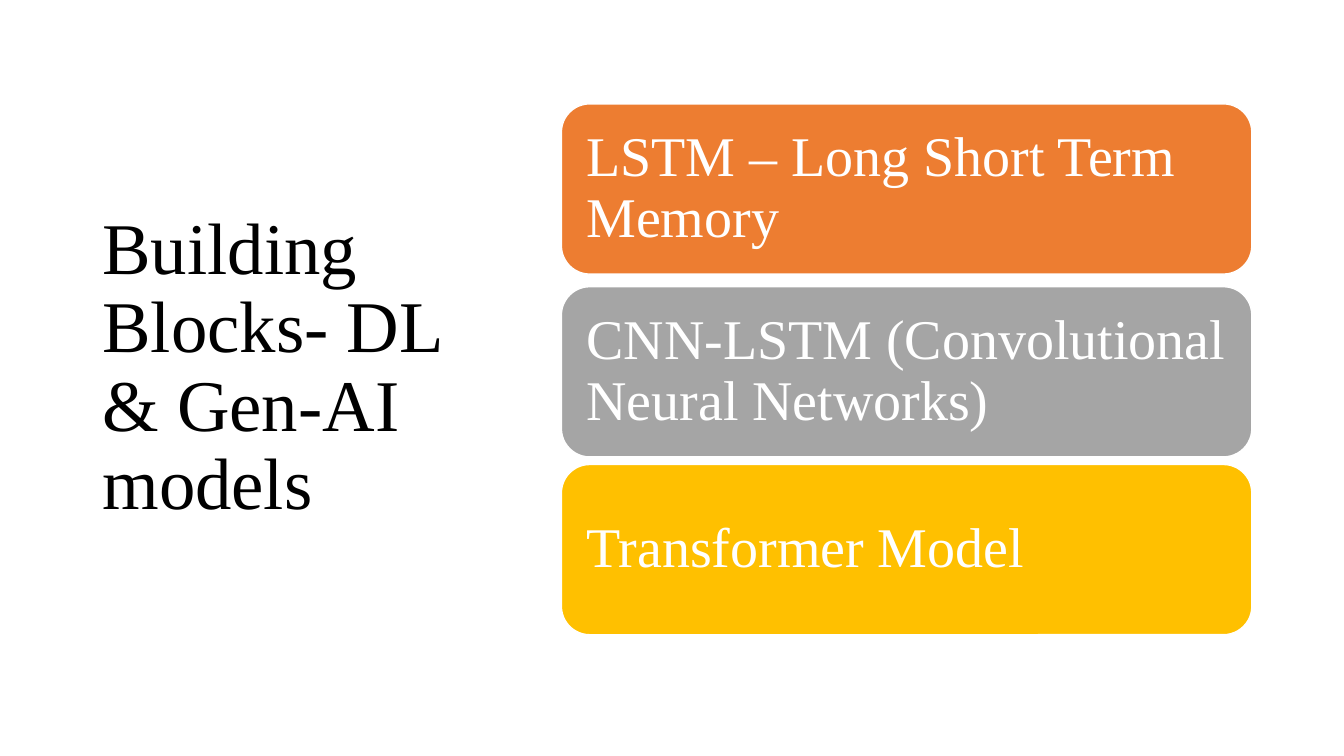
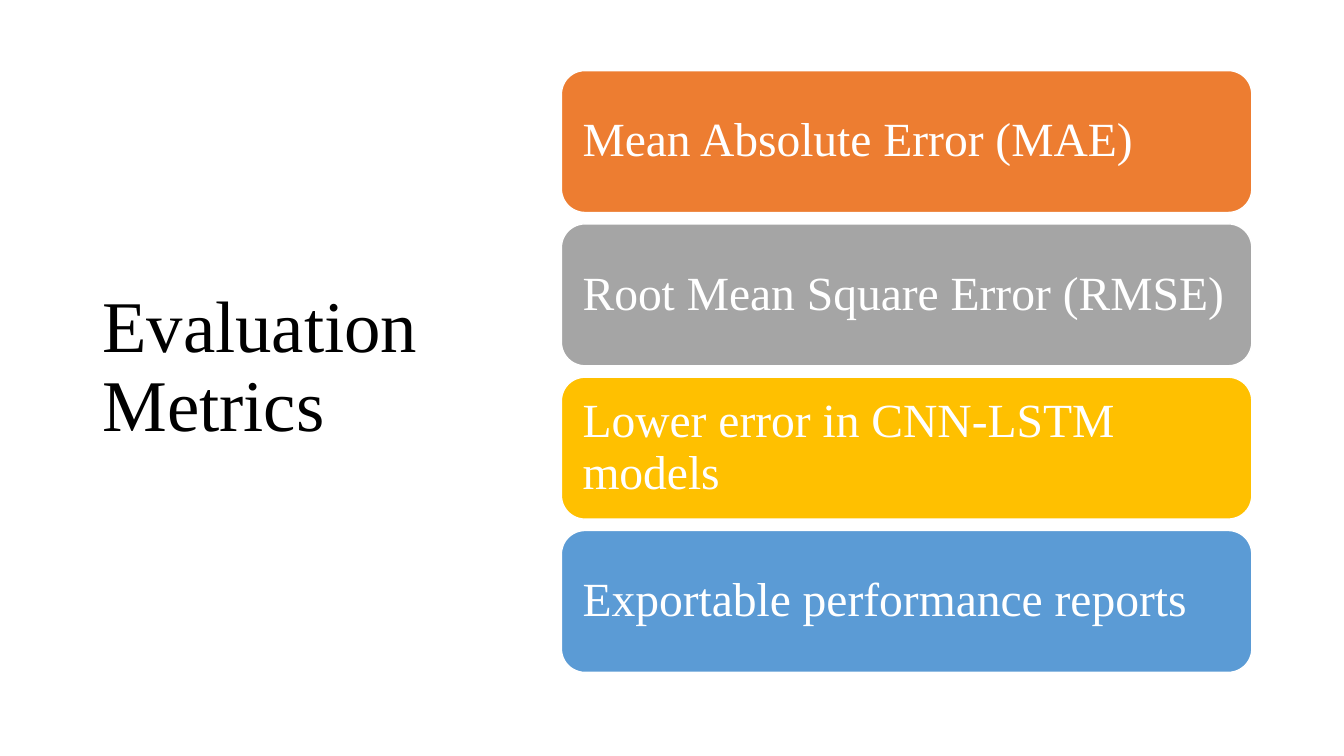
from pptx import Presentation
from pptx.dml.color import RGBColor
from pptx.enum import shapes, text
from pptx.util import Pt

FONT = "Times New Roman"
COLORS = {"ink": "000000", "white": "FFFFFF", "orange": "ED7D31",
          "gray": "A5A5A5", "gold": "FFC000", "blue": "5B9BD5"}
CARD_FILLS = ["orange", "gray", "gold", "blue"]


def rgb(name):
    """Return the named palette colour."""
    return RGBColor.from_string(COLORS[name])


def place(sp, left, top, width, height):
    """Set the position and size of a shape in points."""
    sp.left, sp.top, sp.width, sp.height = map(Pt, (left, top, width, height))


def set_text(sp, content, size, color):
    """Write one left-aligned, vertically centred paragraph."""
    tf = sp.text_frame
    tf.text = content
    tf.word_wrap = True
    tf.auto_size = text.MSO_AUTO_SIZE.NONE
    tf.vertical_anchor = text.MSO_ANCHOR.MIDDLE
    p = tf.paragraphs[0]
    p.alignment = text.PP_ALIGN.LEFT
    p.line_spacing = 0.9
    p.font.name, p.font.size = FONT, Pt(size)
    p.font.color.rgb = rgb(color)


def add_card(s, label, top, height, size, fill):
    """Add a rounded card whose margins follow its text size."""
    sp = s.shapes.add_shape(shapes.MSO_SHAPE.ROUNDED_RECTANGLE,
                            Pt(401), Pt(top), Pt(493.2), Pt(height))
    sp.shadow.inherit = False
    sp.fill.solid()
    sp.fill.fore_color.rgb = rgb(fill)
    sp.line.color.rgb = rgb("white")
    sp.line.width = Pt(1)
    set_text(sp, label, size, "white")
    tf = sp.text_frame
    tf.margin_left = tf.margin_right = Pt(0.3 * size)
    tf.margin_top = tf.margin_bottom = Pt(0.3 * size)


def add_card_slide(prs, title, labels, tops, height, size):
    """Add a slide with a title on the left and a stack of cards."""
    s = prs.slides.add_slide(prs.slide_layouts[5])
    place(s.shapes.title, 66, 44, 265.7, 438.4)
    set_text(s.shapes.title, title, 52, "ink")
    for label, top, fill in zip(labels, tops, CARD_FILLS):
        add_card(s, label, top, height, size, fill)


def main():
    """Build and save the presentation."""
    prs = Presentation()
    prs.slide_width, prs.slide_height = Pt(960), Pt(540)
    add_card_slide(prs, "Building Blocks- DL & Gen-AI models",
                   ["LSTM – Long Short Term Memory",
                    "CNN-LSTM (Convolutional Neural Networks)",
                    "Transformer Model"],
                   [74.2, 204.8, 331.8], 121.6, 40)
    add_card_slide(prs, "Evaluation Metrics",
                   ["Mean Absolute Error (MAE)",
                    "Root Mean Square Error (RMSE)",
                    "Lower error in CNN-LSTM models",
                    "Exportable performance reports"],
                   [50.4 + 109.5 * i for i in range(4)], 101.4, 34)
    prs.save("out.pptx")


if __name__ == "__main__":
    main()
